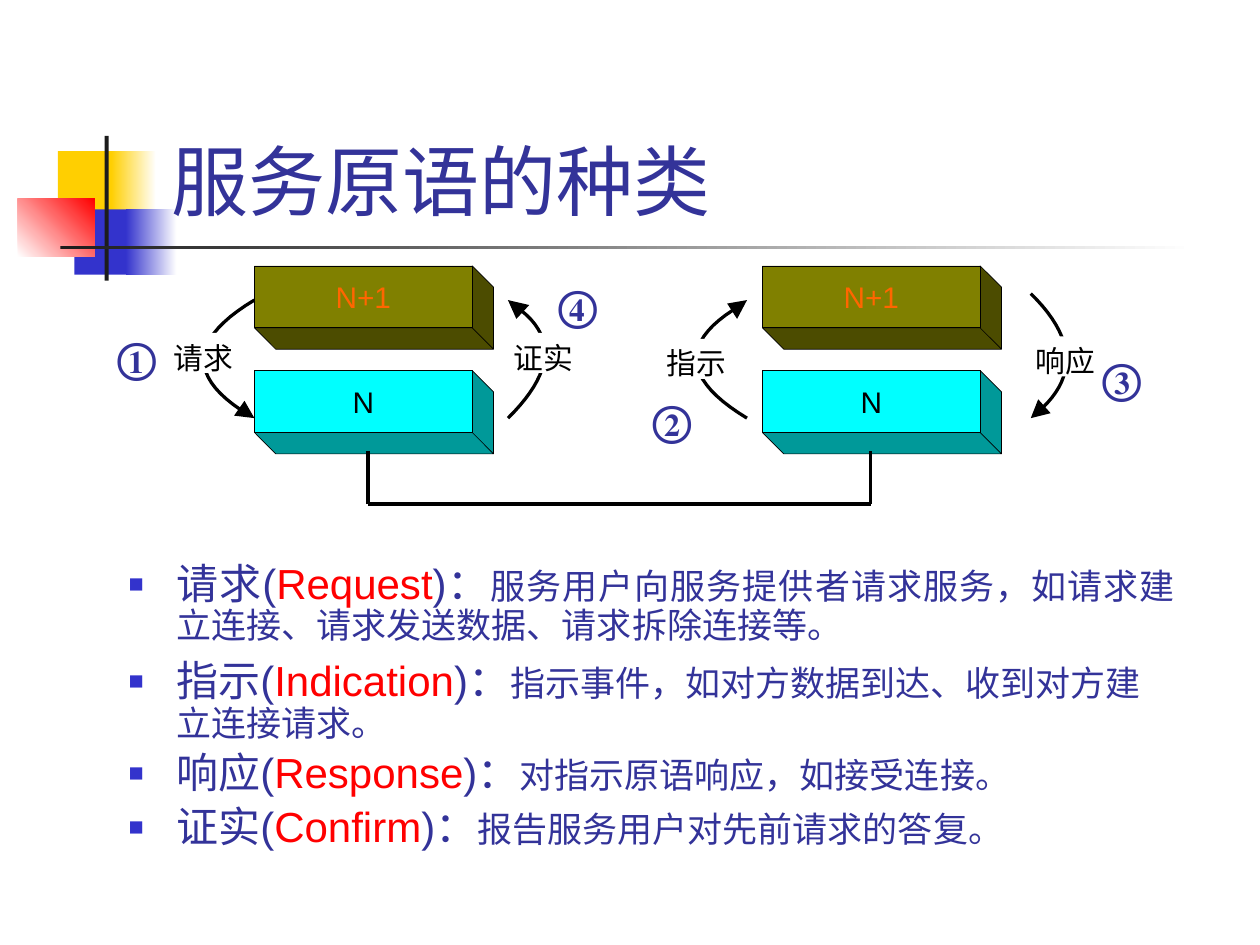
import pptx
import pptx.util
import pptx.dml.color
import pptx.enum.shapes
import pptx.enum.text
import pptx.oxml
import pptx.oxml.ns
from lxml import etree

Cm = pptx.util.Cm
Pt = pptx.util.Pt
RGB = pptx.dml.color.RGBColor.from_string
ALIGN = pptx.enum.text.PP_ALIGN
ANCHOR = pptx.enum.text.MSO_ANCHOR
RECTANGLE = pptx.enum.shapes.MSO_SHAPE.RECTANGLE
qn = pptx.oxml.ns.qn

COLORS = {
    "yellow": "FFCF01", "blue": "3333CC", "red": "FF0000", "white": "FFFFFF",
    "dark": "1C1C1C", "black": "000000", "text": "333399", "orange": "FF6600",
    "olive": "808000", "olive side": "4C4C00", "cyan": "00FFFF", "cyan side": "009999",
}
CJK = "Noto Sans CJK SC"


def format_run(run, size, color, font="Arial", east_asian=CJK, bold=False):
    run.font.size = Pt(size)
    run.font.bold = bold
    run.font.name = font
    run.font.color.rgb = RGB(COLORS[color])
    latin = run.font._element.find(qn("a:latin"))
    latin.addnext(latin.makeelement(qn("a:ea"), {"typeface": east_asian}))


def add_outline(points, closed, fill=None, line_width=None):
    corners = [(Cm(x), Cm(y)) for x, y in points]
    builder = slide.shapes.build_freeform(*corners[0])
    builder.add_line_segments(corners[1:], close=closed)
    shape = builder.convert_to_shape()
    shape.shadow.inherit = False
    if fill:
        shape.fill.solid()
        shape.fill.fore_color.rgb = RGB(COLORS[fill])
    else:
        shape.fill.background()
    if line_width:
        shape.line.color.rgb = RGB(COLORS["black"])
        shape.line.width = Pt(line_width)
    else:
        shape.line.fill.background()


presentation = pptx.Presentation()
presentation.slide_width = Cm(25.4)
presentation.slide_height = Cm(19.05)
slide = presentation.slides.add_slide(presentation.slide_layouts[1])
title, body = slide.placeholders

# Corner decoration: one colour is solid, two colours are a gradient
decorations = [
    (1.17, 3.05, 1.22, 1.32, ["yellow"], 0),
    (2.24, 3.05, 0.91, 1.32, ["yellow", "white"], 0),
    (1.5, 4.22, 1.17, 1.32, ["blue"], 0),
    (2.54, 4.22, 1.02, 1.32, ["blue", "white"], 0),
    (0.36, 4.01, 1.55, 1.17, ["white", "red"], 45),
    (2.11, 2.74, 0.08, 2.92, ["dark"], 0),
    (1.22, 4.95, 22.86, 0.08, ["dark", "white"], 0),
]
for left, top, width, height, colors, angle in decorations:
    shape = slide.shapes.add_shape(RECTANGLE, Cm(left), Cm(top), Cm(width), Cm(height))
    shape.shadow.inherit = False
    shape.line.fill.background()
    if len(colors) == 1:
        shape.fill.solid()
        shape.fill.fore_color.rgb = RGB(COLORS[colors[0]])
    else:
        shape.fill.gradient()
        shape.fill.gradient_angle = angle
        for stop, color in zip(shape.fill.gradient_stops, colors):
            stop.color.rgb = RGB(COLORS[color])

# Title, in front of the decoration
slide.shapes.element.append(title.element)
title.left, title.top, title.width, title.height = Cm(3.2), Cm(2.34), Cm(18.82), Cm(2.34)
title.text_frame.text = "服务原语的种类"
title.text_frame.vertical_anchor = ANCHOR.BOTTOM
title.text_frame.auto_size = pptx.enum.text.MSO_AUTO_SIZE.NONE
title.text_frame.paragraphs[0].alignment = ALIGN.LEFT
format_run(title.text_frame.paragraphs[0].runs[0], 44, "text", CJK)

# List of primitives
primitives = [
    ("请求", "Request", "服务用户向服务提供者请求服务，如请求建立连接、请求发送数据、请求拆除连接等。", 0),
    ("指示", "Indication", "指示事件，如对方数据到达、收到对方建立连接请求。", 8),
    ("响应", "Response", "对指示原语响应，如接受连接。", 5),
    ("证实", "Confirm", "报告服务用户对先前请求的答复。", 5),
]
slide.shapes.element.append(body.element)
body.left, body.top, body.width, body.height = Cm(2.34), Cm(11.23), Cm(21.59), Cm(6.55)
body.text_frame.auto_size = pptx.enum.text.MSO_AUTO_SIZE.NONE
for index, (name, english, meaning, space) in enumerate(primitives):
    paragraph = body.text_frame.paragraphs[0] if index == 0 else body.text_frame.add_paragraph()
    properties = paragraph._p.get_or_add_pPr()
    properties.set("marL", str(Cm(0.96)))
    properties.set("indent", str(-Cm(0.96)))
    bullet_color = etree.SubElement(properties, qn("a:buClr"))
    etree.SubElement(bullet_color, qn("a:srgbClr"), val=COLORS["blue"])
    etree.SubElement(properties, qn("a:buSzPct"), val="60000")
    etree.SubElement(properties, qn("a:buFont"), typeface="Arial")
    etree.SubElement(properties, qn("a:buChar"), char="■")
    paragraph.alignment = ALIGN.JUSTIFY if index == 0 else ALIGN.LEFT
    paragraph.line_spacing = 0.9
    paragraph.space_before = Pt(space)
    pieces = [(name + "(", 24, "text"), (english, 24, "red"), (")：", 24, "text"), (meaning, 20, "text")]
    for text, size, color in pieces:
        run = paragraph.add_run()
        run.text = text
        format_run(run, size, color)

# Layer blocks of both systems
front_width, front_height, depth = 4.39, 1.25, 0.43
layers = [("N+1", 5.36, "olive", "olive side", "orange"), ("N", 7.47, "cyan", "cyan side", "black")]
for left in (5.13, 15.37):
    for text, top, front, side, color in layers:
        right, bottom = left + front_width, top + front_height
        far_corner = (right + depth, bottom + depth)
        add_outline([(left, bottom), (right, bottom), (right, top), (right + depth, top + depth),
                     far_corner, (right, bottom), far_corner, (left + depth, bottom + depth)],
                    True, side, 0.38)
        block = slide.shapes.add_shape(RECTANGLE, Cm(left), Cm(top), Cm(front_width), Cm(front_height))
        block.shadow.inherit = False
        block.fill.solid()
        block.fill.fore_color.rgb = RGB(COLORS[front])
        block.line.color.rgb = RGB(COLORS["black"])
        block.line.width = Pt(0.38)
        block.text_frame.text = text
        block.text_frame.vertical_anchor = ANCHOR.MIDDLE
        block.text_frame.paragraphs[0].alignment = ALIGN.CENTER
        format_run(block.text_frame.paragraphs[0].runs[0], 17, color)

# Curved arrows: start, control and end of the curve, then the head
arrows = [
    ((5.13, 6.05), (3.24, 7.18), (4.85, 8.26), [(4.72, 8.38), (5.13, 8.43), (4.93, 8.08)]),
    ((10.24, 8.43), (11.57, 7.12), (10.52, 6.27), [(10.41, 6.43), (10.24, 6.05), (10.67, 6.15)]),
    ((15.06, 8.43), (13.17, 7.29), (14.78, 6.25), [(14.66, 6.12), (15.06, 6.05), (14.86, 6.43)]),
    ((20.78, 5.92), (22.09, 7.2), (21.01, 8.23), [(20.93, 8.05), (20.78, 8.43), (21.18, 8.33)]),
]
steps = 20
for start, control, end, head in arrows:
    curve = []
    for step in range(steps + 1):
        t = step / steps
        curve.append([(1 - t) ** 2 * a + 2 * t * (1 - t) * b + t ** 2 * c
                      for a, b, c in zip(start, control, end)])
    add_outline(curve, False, line_width=1.88)
    add_outline(head, True, "black")

# Arrow labels on white, and step numbers
labels = [("请求", 3.45, 6.71), ("证实", 10.31, 6.71), ("指示", 13.39, 6.83), ("响应", 20.83, 6.78),
          ("①", 2.11, 6.55), ("②", 12.9, 7.82), ("③", 21.97, 6.99), ("④", 11, 5.51)]
for text, left, top in labels:
    is_number = len(text) == 1
    width, height = (1.37, 1.27) if is_number else (1.35, 0.81)
    label = slide.shapes.add_textbox(Cm(left), Cm(top), Cm(width), Cm(height))
    frame = label.text_frame
    frame.word_wrap = False
    frame.text = text
    run = frame.paragraphs[0].runs[0]
    if is_number:
        format_run(run, 24, "text", "Times New Roman", "Times New Roman", True)
    else:
        label.fill.solid()
        label.fill.fore_color.rgb = RGB(COLORS["white"])
        frame.margin_left, frame.margin_top = Cm(0.05), Cm(0.13)
        frame.margin_right = frame.margin_bottom = 0
        format_run(run, 17, "black", CJK)

# Link between the two N layers
link_points = [(7.42, 9.09), (7.42, 10.16), (17.55, 10.16), (17.55, 9.09)]
for start, end in zip(link_points, link_points[1:]):
    link = slide.shapes.add_connector(pptx.enum.shapes.MSO_CONNECTOR.STRAIGHT,
                                      *[Cm(value) for value in start + end])
    link.line.color.rgb = RGB(COLORS["black"])
    link.line.width = Pt(1.88)
    etree.SubElement(link.element.spPr, qn("a:effectLst"))

presentation.save("out.pptx")
